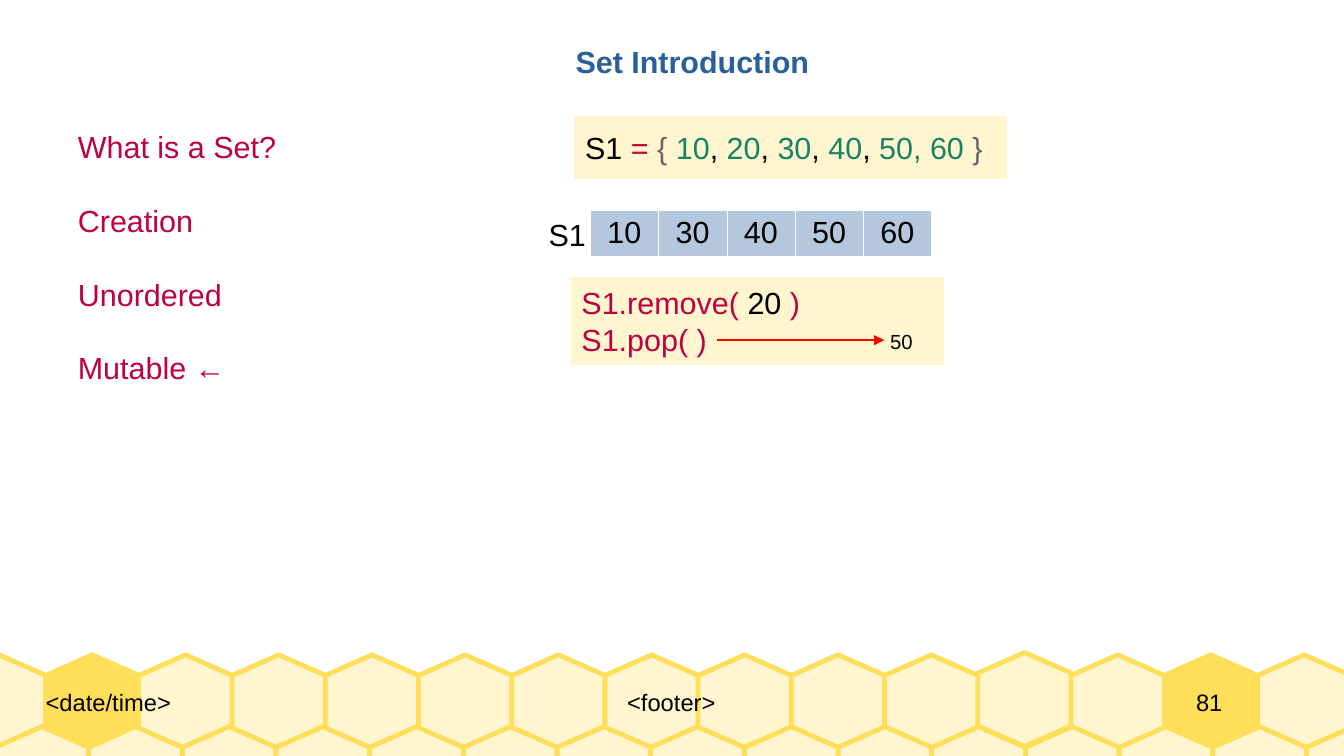
"""Build the Set Introduction slide with its honeycomb footer."""
from dataclasses import dataclass

from lxml.etree import SubElement
from pptx import Presentation
from pptx.dml.color import RGBColor as RGB
from pptx.enum.shapes import MSO_CONNECTOR as Connector, MSO_SHAPE as Shape
from pptx.enum.text import MSO_ANCHOR as Anchor, MSO_AUTO_SIZE as AutoSize, PP_ALIGN as Align
from pptx.oxml import parse_xml
from pptx.oxml.ns import nsdecls, qn
from pptx.util import Pt


@dataclass(frozen=True)
class Theme:
    font: str = "Arial"
    body: int = 18
    footer: int = 14
    small: int = 12
    black: RGB = RGB.from_string("000000")
    white: RGB = RGB.from_string("FFFFFF")
    blue: RGB = RGB.from_string("2A6099")
    crimson: RGB = RGB.from_string("BF0041")
    green: RGB = RGB.from_string("158466")
    gray: RGB = RGB.from_string("666666")
    red: RGB = RGB.from_string("FF0000")
    cream: RGB = RGB.from_string("FFF5CE")
    honey: RGB = RGB.from_string("FFDE59")
    cell: RGB = RGB.from_string("B4C7DC")


theme = Theme()


def write(frame, *lines, size=theme.body, color=theme.black, bold=False, align=Align.LEFT,
          anchor=Anchor.TOP, wrap=False, inset=(7.2, 3.6), gap=0):
    """Fill a frame with lines, each a string or a list of (text, colour) pieces."""
    frame.word_wrap = wrap
    frame.auto_size = AutoSize.NONE
    frame.vertical_anchor = anchor
    frame.margin_left = frame.margin_right = Pt(inset[0])
    frame.margin_top = frame.margin_bottom = Pt(inset[1])
    for number, line in enumerate(lines):
        paragraph = frame.add_paragraph() if number else frame.paragraphs[0]
        paragraph.alignment = align
        paragraph.space_before = Pt(gap if number else 0)
        for piece, piece_color in [(line, color)] if isinstance(line, str) else line:
            run = paragraph.add_run()
            run.text = piece
            run.font.name = theme.font
            run.font.size = Pt(size)
            run.font.bold = bold
            run.font.color.rgb = piece_color


deck = Presentation()
deck.slide_width, deck.slide_height = Pt(793.44), Pt(446.4)
slide = deck.slides.add_slide(deck.slide_layouts[5])
shapes = slide.shapes

hexagon = [(27.6, 0), (0, 12.2), (0, 43.4), (27.6, 55.4), (55.3, 43.4), (55.3, 12.2)]
raised_cell = 11
honey_cells = (1, 13)
for row, (first_left, row_top, pitch) in enumerate([(-28.1, 386.7, 55.03), (-2.9, 429.1, 55.3)]):
    for column in range(15):
        left = first_left + column * pitch
        top = row_top - (1.4 if row == 0 and column == raised_cell else 0)
        corners = [(Pt(left + x), Pt(top + y)) for x, y in hexagon]
        outline = shapes.build_freeform(*corners[0])
        outline.add_line_segments(corners[1:], close=True)
        comb = outline.convert_to_shape()
        comb.shadow.inherit = False
        comb.fill.solid()
        comb.fill.fore_color.rgb = theme.honey if row == 0 and column in honey_cells else theme.cream
        comb.line.color.rgb = theme.honey
        comb.line.width = Pt(2.83)

for label, left, width, align in [("<date/time>", 26.9, 189.4, Align.LEFT),
                                  ("<footer>", 216, 360.7, Align.CENTER),
                                  ("81", 668.9, 90, Align.CENTER)]:
    footer = shapes.add_textbox(Pt(left), Pt(386.7), Pt(width), Pt(55.4))
    write(footer.text_frame, label, size=theme.footer, align=align,
          anchor=Anchor.MIDDLE, wrap=True, inset=(0, 0))

title = shapes.title
title.left, title.top, title.width, title.height = Pt(332.6), Pt(21.6), Pt(152.6), Pt(27.4)
write(title.text_frame, "Set Introduction", color=theme.blue, bold=True)

topics = shapes.add_textbox(Pt(38.9), Pt(72), Pt(131), Pt(148.3))
write(topics.text_frame, "What is a Set?", "Creation", "Unordered", "Mutable ←",
      color=theme.crimson, gap=22)

creation = [("S1 ", theme.black), ("= ", theme.crimson), ("{ ", theme.gray), ("10", theme.green)]
for number in (" 20", " 30", " 40", " 50, 60 "):
    creation += [(",", theme.black), (number, theme.green)]
creation.append(("}", theme.gray))
removal = [("S1.remove( ", theme.crimson), ("20 ", theme.black), (")", theme.crimson)]

for left, top, width, height, code in [(338.4, 67.7, 257, 38.9, [creation]),
                                       (336.2, 162.7, 221.8, 53.3, [removal, "S1.pop( )"])]:
    panel = shapes.add_shape(Shape.RECTANGLE, Pt(left), Pt(top), Pt(width), Pt(height))
    panel.shadow.inherit = False
    panel.fill.solid()
    panel.fill.fore_color.rgb = theme.cream
    panel.line.color.rgb = theme.white
    panel.line.width = Pt(1.42)
    write(panel.text_frame, *code, color=theme.crimson, anchor=Anchor.MIDDLE, wrap=True)

pop_arrow = shapes.add_connector(Connector.STRAIGHT, Pt(423.4), Pt(200.9), Pt(522), Pt(200.9))
pop_arrow.line.color.rgb = theme.red
pop_arrow.line.width = Pt(1.42)
SubElement(pop_arrow.line._get_or_add_ln(), qn("a:tailEnd"), type="triangle")
SubElement(pop_arrow._element.spPr, qn("a:effectLst"))

members = ["10", "30", "40", "50", "60"]
set_table = shapes.add_table(1, len(members), Pt(348.5), Pt(123.8), Pt(201.5), Pt(27.4)).table
set_table.first_row = set_table.horz_banding = False
for column, member in enumerate(members):
    set_table.columns[column].width = Pt(40.3)
    cell = set_table.cell(0, column)
    write(cell.text_frame, member, align=Align.CENTER, wrap=True)
    cell.fill.solid()
    cell.fill.fore_color.rgb = theme.cell
    for order, side in enumerate(("lnL", "lnR", "lnT", "lnB")):
        border = parse_xml(f'<a:{side} {nsdecls("a")} w="720"><a:solidFill>'
                           f'<a:srgbClr val="{theme.white}"/></a:solidFill></a:{side}>')
        cell._tc.get_or_add_tcPr().insert(order, border)

for label, left, top, width, height, size in [("S1", 316.8, 123.8, 36, 27.4, theme.body),
                                              ("50", 518.4, 190.8, 27.4, 20.9, theme.small)]:
    caption = shapes.add_textbox(Pt(left), Pt(top), Pt(width), Pt(height))
    write(caption.text_frame, label, size=size)

deck.save("out.pptx")
